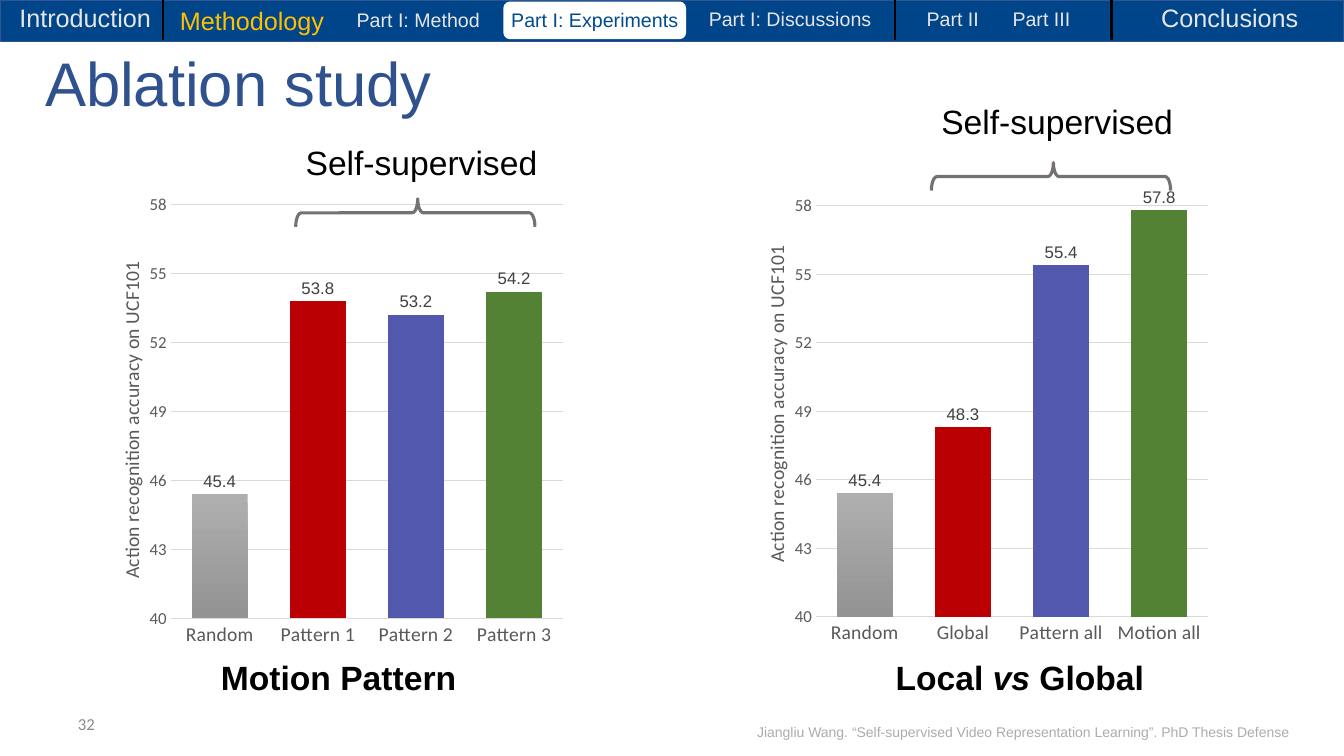
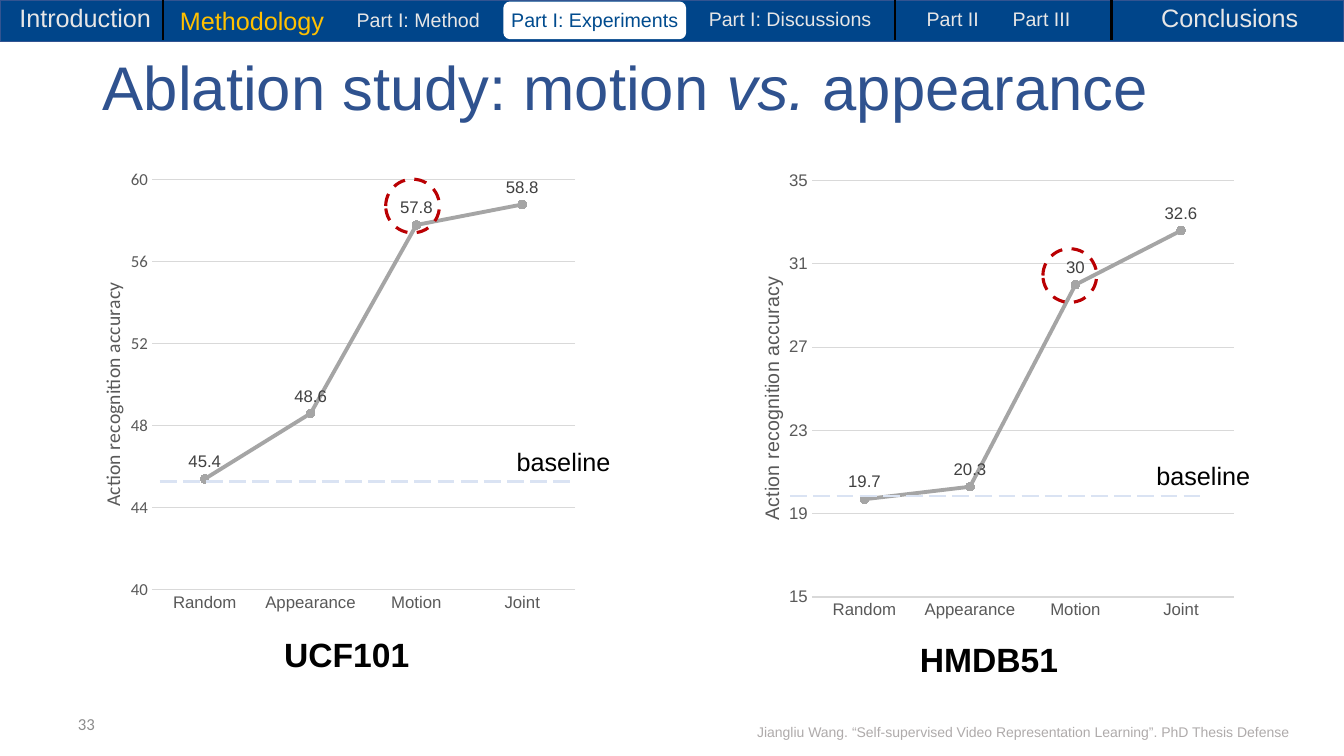
from lxml import etree
from pptx import Presentation
from pptx.chart.data import CategoryChartData
from pptx.dml.color import RGBColor
from pptx.enum.chart import XL_CHART_TYPE as ChartType
from pptx.enum.chart import XL_LABEL_POSITION as LabelPosition
from pptx.enum.chart import XL_MARKER_STYLE as Marker
from pptx.enum.chart import XL_TICK_MARK as Tick
from pptx.enum.dml import MSO_LINE_DASH_STYLE as Dash
from pptx.enum.shapes import MSO_CONNECTOR as Connector
from pptx.enum.shapes import MSO_SHAPE as Shape
from pptx.enum.text import MSO_ANCHOR as Anchor
from pptx.enum.text import PP_ALIGN as Align
from pptx.oxml.ns import qn
from pptx.util import Inches, Pt

FOOTER = "Jiangliu Wang. “Self-supervised Video Representation Learning”. PhD Thesis Defense"
BAND_ITEMS = [
    ("Introduction", 0.7, -0.3, 15, 18, "E7E6E6", Align.LEFT),
    ("Methodology", 11.9, 0, 13.7, 18, "FFC000", Align.CENTER),
    ("Part I: Method", 25.8, 0.4, 11.2, 14, "E7E6E6", Align.LEFT),
    ("Part I: Experiments", 37.3, 0.4, 15.9, 14, "004B8E", Align.LEFT),
    ("Part I: Discussions", 52, 0.3, 14.4, 14, "E7E6E6", Align.LEFT),
    ("Part II", 68.2, 0.3, 6.2, 14, "E7E6E6", Align.LEFT),
    ("Part III", 74.6, 0.3, 6.8, 14, "E7E6E6", Align.LEFT),
    ("Conclusions", 83, -0.3, 17, 18, "E7E6E6", Align.CENTER),
]
BAND_DIVIDERS = [12.1, 66.6, 82.7]


def color(hex_string):
    return RGBColor.from_string(hex_string)


class Deck:
    GRID = 100
    TITLE = "2F528F"
    BAND = "00458A"
    BAND_EDGE = "325491"
    FOOTER = "AFABAB"
    NUMBER = "8C8C8C"
    AXIS_TEXT = "595959"
    GRIDLINE = "D9D9D9"
    LABEL = "404040"
    CURVE = "A5A5A5"
    BRACE = "767171"
    BASELINE = "DAE3F3"
    HIGHLIGHT = "BA0003"
    BARS = ["BA0003", "5158AE", "548235"]

    def __init__(self):
        self.presentation = Presentation()
        self.presentation.slide_width = Inches(13.33)
        self.presentation.slide_height = Inches(7.5)
        self.slide = None

    def column(self, count):
        return round(self.presentation.slide_width * count / self.GRID)

    def row(self, count):
        return round(self.presentation.slide_height * count / self.GRID)

    def box(self, left, top, width, height):
        return self.column(left), self.row(top), self.column(width), self.row(height)

    def add_slide(self, number, title_runs, title_box):
        layout = self.presentation.slide_layouts[5]
        self.slide = self.presentation.slides.add_slide(layout)
        title = self.slide.shapes.title
        title.left, title.top, title.width, title.height = self.box(*title_box)
        title.text_frame.vertical_anchor = Anchor.MIDDLE
        paragraph = self.add_runs(title.text_frame, title_runs, 44, self.TITLE)
        paragraph.line_spacing = 0.9
        self.band()
        self.text([FOOTER], (55.6, 94.5, 44, 4), 10, self.FOOTER).line_spacing = 1.25
        self.text([str(number)], (2.6, 93.1, 5.2, 5.3), 12, self.NUMBER,
                  align=Align.RIGHT, font="Calibri", anchor=Anchor.MIDDLE)

    def add_runs(self, frame, runs, size, text_color, bold=False, align=Align.LEFT, font="Arial"):
        paragraph = frame.paragraphs[0]
        paragraph.alignment = align
        for index, words in enumerate(runs):
            run = paragraph.add_run()
            run.text = words
            run.font.italic = index % 2 == 1
            run.font.bold = bold
            self.style_font(run.font, size, text_color, font)
        return paragraph

    def style_font(self, font, size, text_color, name):
        font.size = Pt(size)
        font.name = name
        font.color.rgb = color(text_color)

    def text(self, runs, box, size, text_color="000000", bold=False, align=Align.LEFT,
             font="Arial", anchor=Anchor.TOP):
        frame = self.slide.shapes.add_textbox(*self.box(*box)).text_frame
        frame.word_wrap = True
        frame.vertical_anchor = anchor
        return self.add_runs(frame, runs, size, text_color, bold, align, font)

    def shape(self, kind, box, fill, line, width, dash=None):
        shape = self.slide.shapes.add_shape(kind, *box)
        shape.shadow.inherit = False
        if fill:
            shape.fill.solid()
            shape.fill.fore_color.rgb = color(fill)
        else:
            shape.fill.background()
        self.style_line(shape.line, line, width, dash)
        return shape

    def style_line(self, line, line_color, width, dash=None):
        line.color.rgb = color(line_color)
        line.width = Pt(width)
        if dash:
            line.dash_style = dash

    def line(self, start, end, line_color, dash=None):
        connector = self.slide.shapes.add_connector(
            Connector.STRAIGHT, self.column(start[0]), self.row(start[1]),
            self.column(end[0]), self.row(end[1]))
        self.style_line(connector.line, line_color, 1.5, dash)
        properties = connector.element.find(qn("p:spPr"))
        etree.SubElement(properties, qn("a:effectLst"))

    def band(self):
        self.shape(Shape.RECTANGLE, self.box(0, 0, 100, 5.5), self.BAND, self.BAND_EDGE, 1)
        self.shape(Shape.ROUNDED_RECTANGLE, self.box(37.5, 0.3, 13.5, 4.8), "FFFFFF", "FFFFFF", 1)
        for position in BAND_DIVIDERS:
            self.line((position, 0), (position, 5.3), "000000")
        for label, left, top, width, size, text_color, align in BAND_ITEMS:
            self.text([label], (left, top, width, 5), size, text_color, align=align)

    def brace(self, left, top, label_top):
        x, y, width, height = self.box(left, top, 17.8, 3.7)
        upright = (x + (width - height) // 2, y + (height - width) // 2, height, width)
        brace = self.shape(Shape.LEFT_BRACE, upright, None, self.BRACE, 2.25)
        brace.adjustments[0] = 0.2
        brace.adjustments[1] = 0.49
        brace.rotation = 90
        self.text(["Self-supervised"], (left, label_top, 20.7, 6.7), 24)

    def caption(self, runs, left, top):
        self.text(runs, (left, top, 22, 6.7), 24, bold=True)

    def baseline(self, left, top, label_left):
        self.line((left, top), (left + 30.8, top), self.BASELINE, Dash.LONG_DASH)
        self.text(["baseline"], (label_left, top - 5.3, 9, 5.3), 18)

    def highlight(self, left, top):
        self.shape(Shape.OVAL, self.box(left, top, 4, 7.1), None, self.HIGHLIGHT, 2.25, Dash.DASH)

    def set_layout(self, parent, index, **values):
        for previous in parent.findall(qn("c:layout")):
            parent.remove(previous)
        layout = etree.Element(qn("c:layout"))
        manual = etree.SubElement(layout, qn("c:manualLayout"))
        for name, value in values.items():
            etree.SubElement(manual, qn("c:" + name)).set("val", str(value))
        parent.insert(index, layout)

    def chart(self, kind, points, box, plot, scale, axis_title, title_top,
              category_size=12, category_font="Arial", value_font="Calibri"):
        data = CategoryChartData()
        data.categories = list(points)
        data.add_series("Series 1", list(points.values()))
        chart = self.slide.shapes.add_chart(kind, *self.box(*box), data).chart
        chart.has_title = False
        chart.has_legend = False
        self.style_font(chart.font, 12, self.AXIS_TEXT, value_font)
        self.axes(chart, scale, category_size, category_font, value_font)

        left, top, width, height = box
        plot_left, plot_top, plot_width, plot_height = plot
        self.set_layout(chart.element.find(".//" + qn("c:plotArea")), 0,
                        layoutTarget="inner", xMode="edge", yMode="edge",
                        x=(plot_left - left) / width, y=(plot_top - top) / height,
                        w=plot_width / width, h=plot_height / height)
        title = chart.value_axis.axis_title
        self.add_runs(title.text_frame, [axis_title], 14, self.AXIS_TEXT, font=value_font,
                      align=Align.CENTER)
        title.element.find(".//" + qn("a:bodyPr")).set("rot", "-5400000")
        self.set_layout(title.element, 1, xMode="edge", yMode="edge",
                        x=(plot_left - 4.2 - left) / width, y=(title_top - top) / height)

        series_plot = chart.plots[0]
        series_plot.vary_by_categories = False
        series_plot.has_data_labels = True
        labels = series_plot.data_labels
        labels.show_value = True
        self.style_font(labels.font, 12, self.LABEL, "Arial")
        return series_plot

    def axes(self, chart, scale, category_size, category_font, value_font):
        category, value = chart.category_axis, chart.value_axis
        value.minimum_scale, value.maximum_scale, value.major_unit = scale
        for axis in (category, value):
            axis.major_tick_mark = Tick.NONE
            axis.minor_tick_mark = Tick.NONE
        self.style_font(category.tick_labels.font, category_size, self.AXIS_TEXT, category_font)
        self.style_font(value.tick_labels.font, 12, self.AXIS_TEXT, value_font)
        self.style_line(category.format.line, self.GRIDLINE, 1)
        value.format.line.fill.background()
        value.has_major_gridlines = True
        self.style_line(value.major_gridlines.format.line, self.GRIDLINE, 0.75)

    def column_chart(self, points, box, plot, scale, title_top):
        bars = self.chart(ChartType.COLUMN_CLUSTERED, points, box, plot, scale,
                          "Action recognition accuracy on UCF101", title_top,
                          category_size=14, category_font="Calibri")
        bars.gap_width = 75
        bars.data_labels.position = LabelPosition.OUTSIDE_END
        series = bars.series[0]
        gray = series.points[0].format.fill
        gray.gradient()
        gray.gradient_angle = 270
        for stop, shade in zip(gray.gradient_stops, ["AFAFAF", "939393"]):
            stop.color.rgb = color(shade)
        for index, shade in enumerate(self.BARS, start=1):
            fill = series.points[index].format.fill
            fill.solid()
            fill.fore_color.rgb = color(shade)

    def line_chart(self, points, box, plot, scale, title_top, value_font):
        curve = self.chart(ChartType.LINE_MARKERS, points, box, plot, scale,
                           "Action recognition accuracy", title_top, value_font=value_font)
        curve.data_labels.position = LabelPosition.ABOVE
        series = curve.series[0]
        series.smooth = False
        self.style_line(series.format.line, self.CURVE, 2.75)
        marker = series.marker
        marker.style = Marker.CIRCLE
        marker.size = 6
        marker.format.fill.solid()
        marker.format.fill.fore_color.rgb = color(self.CURVE)
        marker.format.line.color.rgb = color(self.CURVE)


def add_pattern_slide(deck):
    deck.add_slide(32, ["Ablation study"], (2.6, 4.4, 90.3, 14.1))
    deck.column_chart({"Random": 45.4, "Pattern 1": 53.8, "Pattern 2": 53.2, "Pattern 3": 54.2},
                      (6.5, 24.4, 36.2, 62.3), (12.7, 27.1, 29.2, 54.7), (40, 58, 3), 34.1)
    deck.column_chart({"Random": 45.4, "Global": 48.3, "Pattern all": 55.4, "Motion all": 57.8},
                      (54.4, 19.9, 36.2, 66.8), (60.7, 21.2, 29.2, 60.4), (40, 60, 3), 32)
    deck.brace(22, 26.3, 18.1)
    deck.brace(69.3, 21.5, 12.7)
    deck.caption(["Motion Pattern"], 15.7, 86.3)
    deck.caption(["Local ", "vs", " Global"], 65.9, 86.3)


def add_motion_slide(deck):
    deck.add_slide(33, ["Ablation study: motion ", "vs.", " appearance"], (6.9, 4.9, 81, 14.1))
    deck.line_chart({"Random": 45.4, "Appearance": 48.6, "Motion": 57.8, "Joint": 58.8},
                    (5.6, 21.6, 38.4, 61.6), (11.3, 23.8, 31.5, 54.2), (40, 60, 4), 36.9, "Calibri")
    deck.line_chart({"Random": 19.7, "Appearance": 20.3, "Motion": 30, "Joint": 32.6},
                    (54.1, 21.6, 38.4, 61.6), (60.4, 23.9, 31.4, 55.1), (15, 35, 4), 36.1, "Arial")
    deck.baseline(11.9, 63.7, 37.7)
    deck.baseline(58.8, 65.6, 85.3)
    deck.caption(["UCF101"], 20.4, 83.2)
    deck.caption(["HMDB51"], 67.7, 83.9)
    deck.highlight(28.7, 23.7)
    deck.highlight(77.6, 32.9)


def main():
    deck = Deck()
    add_pattern_slide(deck)
    add_motion_slide(deck)
    deck.presentation.save("out.pptx")


if __name__ == "__main__":
    main()
